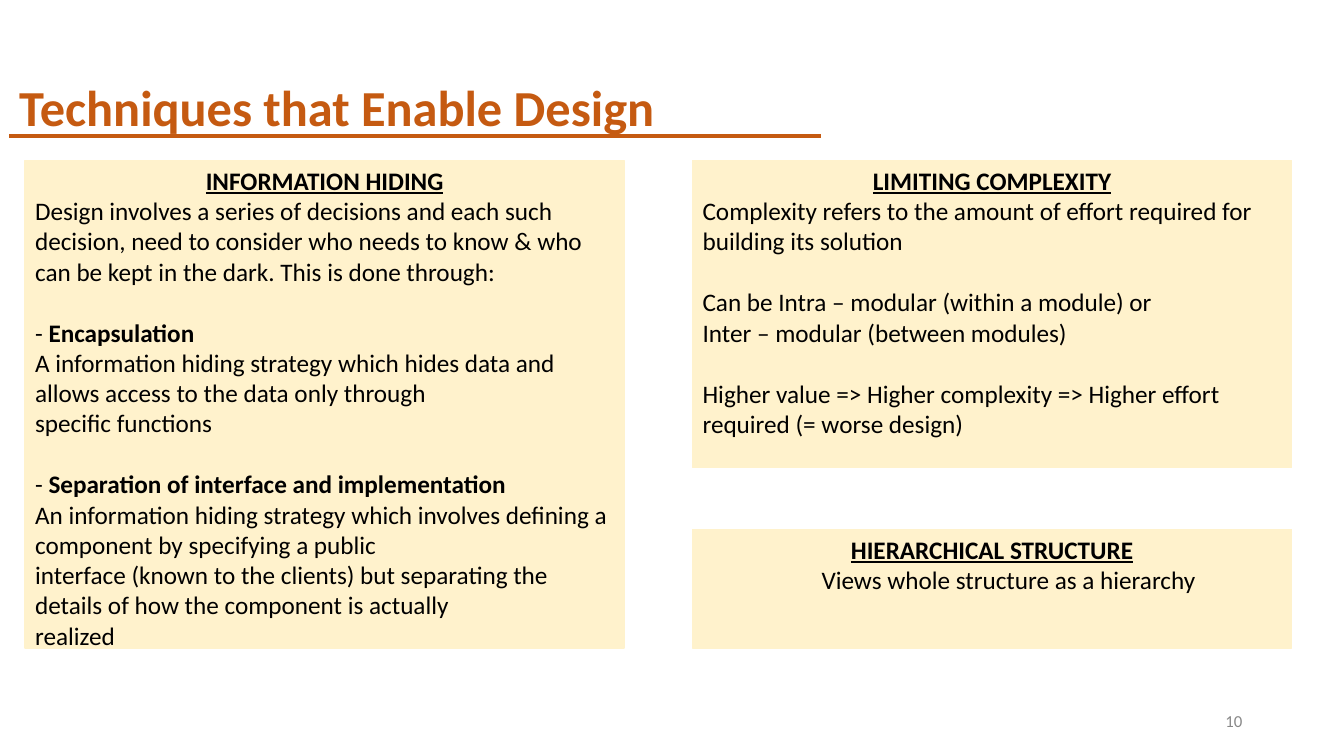
from pptx import Presentation
from pptx.dml.color import RGBColor
from pptx.enum.shapes import MSO_CONNECTOR, MSO_SHAPE
from pptx.enum.text import MSO_ANCHOR, MSO_AUTO_SIZE, PP_ALIGN
from pptx.oxml.ns import qn
from pptx.util import Inches, Pt
from lxml import etree

ACCENT, PANEL, BLACK, GREY = "C55A11", "FFF2CC", "000000", "888888"
COLUMNS = 0.25, 6.87
TOP, BOTTOM, PANEL_WIDTH = 1.59, 6.43, 5.94
GAP = 22  # points, one line of body text


def rgb(color):
    return RGBColor.from_string(color)


def add_run(p, text, size, color, bold=False, underline=False):
    r = p.add_run()
    r.text = text
    r.font.name = "Calibri"
    r.font.size = Pt(size)
    r.font.bold = bold
    r.font.underline = underline
    r.font.color.rgb = rgb(color)


prs = Presentation()
prs.slide_width, prs.slide_height = Inches(13.33), Inches(7.5)
s = prs.slides.add_slide(prs.slide_layouts[5])

title = s.shapes.title
title.left, title.top = Inches(0.09), Inches(0.71)
title.width, title.height = Inches(7.78), Inches(0.5)
tf = title.text_frame
tf.auto_size = MSO_AUTO_SIZE.NONE
tf.vertical_anchor = MSO_ANCHOR.TOP
tf.paragraphs[0].alignment = PP_ALIGN.LEFT
add_run(tf.paragraphs[0], "Techniques that Enable Design", 36, ACCENT, bold=True)

rule = s.shapes.add_connector(
    MSO_CONNECTOR.STRAIGHT, Inches(0.09), Inches(1.35), Inches(8.14), Inches(1.35))
rule.line.color.rgb = rgb(ACCENT)
rule.line.width = Pt(3)
etree.SubElement(rule._element.spPr, qn("a:effectLst"))

number = s.shapes.add_textbox(Inches(9.42), Inches(6.95), Inches(3), Inches(0.4))
tf = number.text_frame
tf.word_wrap = True
tf.vertical_anchor = MSO_ANCHOR.MIDDLE
tf.paragraphs[0].alignment = PP_ALIGN.RIGHT
add_run(tf.paragraphs[0], "10", 12, GREY)

# Each panel: column, top, bottom, left indent, heading, groups of lines.
# A line that starts with "- " has its remaining words in bold.
panels = [
    (0, TOP, BOTTOM, 0, "INFORMATION HIDING", [
        ["Design involves a series of decisions and each such decision, need to "
         "consider who needs to know & who can be kept in the dark. "
         "This is done through:"],
        ["- Encapsulation",
         "A information hiding strategy which hides data and allows access to "
         "the data only through",
         "specific functions"],
        ["- Separation of interface and implementation",
         "An information hiding strategy which involves defining a component by "
         "specifying a public",
         "interface (known to the clients) but separating the details of how "
         "the component is actually",
         "realized"],
    ]),
    (1, TOP, 4.64, 0, "LIMITING COMPLEXITY", [
        ["Complexity refers to the amount of effort required for building its solution"],
        ["Can be Intra – modular (within a module) or",
         "Inter – modular (between modules)"],
        ["Higher value => Higher complexity => Higher effort required (= worse design)"],
    ]),
    (1, 5.25, BOTTOM, 1.18, "HIERARCHICAL STRUCTURE", [
        ["Views whole structure as a hierarchy"],
    ]),
]

for column, top, bottom, indent, heading, groups in panels:
    sp = s.shapes.add_shape(
        MSO_SHAPE.RECTANGLE, Inches(COLUMNS[column]), Inches(top),
        Inches(PANEL_WIDTH), Inches(bottom - top))
    sp.shadow.inherit = False
    sp.fill.solid()
    sp.fill.fore_color.rgb = rgb(PANEL)
    sp.line.color.rgb = rgb(PANEL)
    sp.line.width = Pt(1)
    tf = sp.text_frame
    tf.word_wrap = True
    tf.vertical_anchor = MSO_ANCHOR.TOP
    p = tf.paragraphs[0]
    p.alignment = PP_ALIGN.CENTER
    add_run(p, heading, 18, BLACK, bold=True, underline=True)
    for g, lines in enumerate(groups):
        for i, line in enumerate(lines):
            p = tf.add_paragraph()
            p.alignment = PP_ALIGN.LEFT
            if indent:
                p._p.get_or_add_pPr().set("marL", str(Inches(indent)))
            if g and i == 0:
                p.space_before = Pt(GAP)
            if line.startswith("- "):
                add_run(p, "- ", 18, BLACK)
                add_run(p, line[2:], 18, BLACK, bold=True)
            else:
                add_run(p, line, 18, BLACK)

prs.save("out.pptx")
